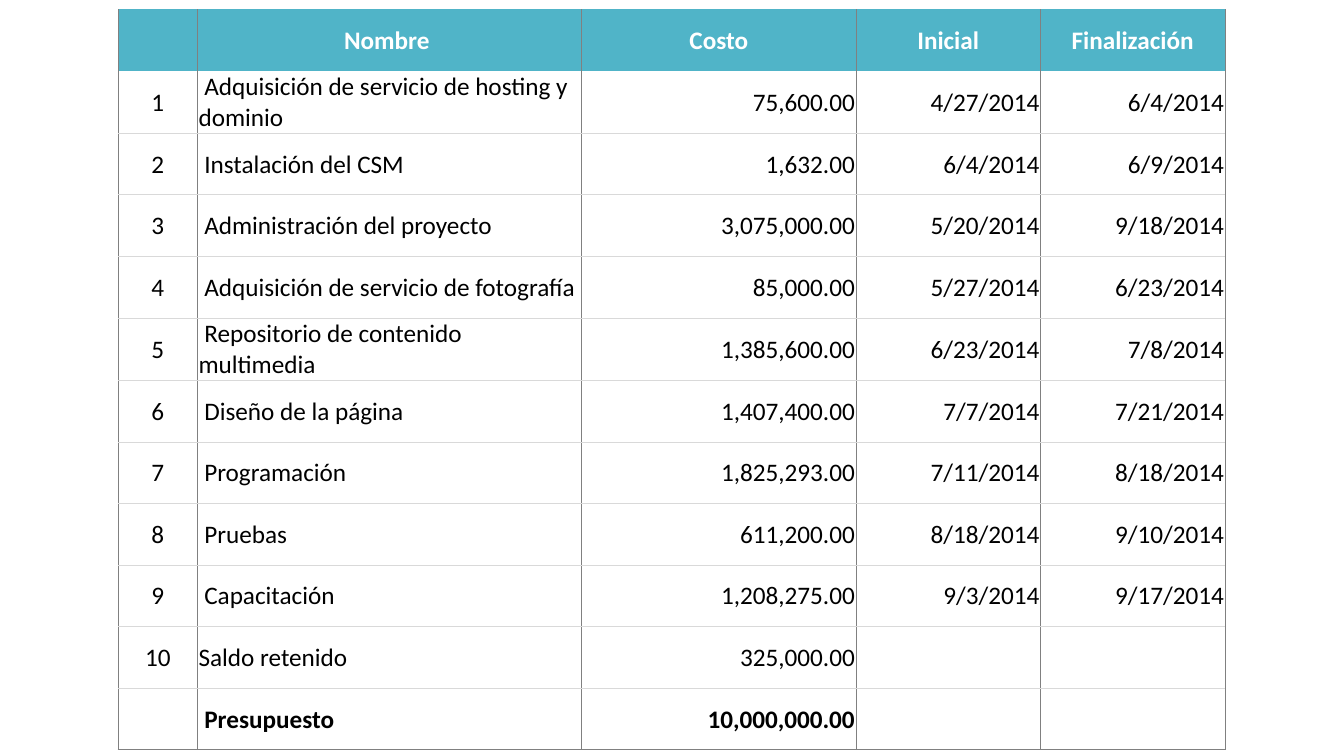
from lxml.etree import SubElement
from pptx import Presentation
from pptx.dml.color import RGBColor
from pptx.enum.text import MSO_ANCHOR, PP_ALIGN
from pptx.oxml.ns import qn
from pptx.util import Inches, Pt

WIDE, HIGH = 13.33, 7.5
TEAL, WHITE, BLACK = "50B4C8", "FFFFFF", "000000"
GREY, PALE = "808080", "D9D9D9"
PLAIN = "{2D5ABB26-0587-4C30-8999-92F81FD0307C}"  # no style, no grid
COLS = [0.79, 3.81, 2.72, 1.83, 1.83]
SIDES = [PP_ALIGN.CENTER, PP_ALIGN.LEFT] + [PP_ALIGN.RIGHT] * 3
INSET = {"margin_left": 0.01, "margin_top": 0.01,
         "margin_right": 0.01, "margin_bottom": 0}

HEAD = ["", "Nombre ", " Costo ", "Inicial", "Finalización"]
TASKS = [
    ["1", " Adquisición de servicio de hosting y dominio ", "75,600.00", "4/27/2014", "6/4/2014"],
    ["2", " Instalación del CSM ", "1,632.00", "6/4/2014", "6/9/2014"],
    ["3", " Administración del proyecto ", "3,075,000.00", "5/20/2014", "9/18/2014"],
    ["4", " Adquisición de servicio de fotografía ", "85,000.00", "5/27/2014", "6/23/2014"],
    ["5", " Repositorio de contenido multimedia ", "1,385,600.00", "6/23/2014", "7/8/2014"],
    ["6", " Diseño de la página ", "1,407,400.00", "7/7/2014", "7/21/2014"],
    ["7", " Programación ", "1,825,293.00", "7/11/2014", "8/18/2014"],
    ["8", " Pruebas ", "611,200.00", "8/18/2014", "9/10/2014"],
    ["9", " Capacitación ", "1,208,275.00", "9/3/2014", "9/17/2014"],
    ["10", "Saldo retenido", "325,000.00", "", ""],
]
TOTAL = ["", " Presupuesto ", "10,000,000.00", "", ""]


def color(code):
    """Turn a hex string into a colour."""
    return RGBColor.from_string(code)


def apply(item, values):
    """Set each attribute named in values."""
    for name, value in values.items():
        setattr(item, name, value)


def edge(cell, side, code):
    """Draw one cell border, or none when code is None."""
    line = SubElement(cell._tc.get_or_add_tcPr(), qn("a:ln" + side), w=str(Pt(0.5)))
    if code is None:
        SubElement(line, qn("a:noFill"))
    else:
        fill = SubElement(line, qn("a:solidFill"))
        SubElement(fill, qn("a:srgbClr"), val=code)


def write(cell, text, align, ink, bold):
    """Put formatted text in a cell."""
    apply(cell, {"vertical_anchor": MSO_ANCHOR.MIDDLE})
    apply(cell, {name: Inches(gap) for name, gap in INSET.items()})
    para = cell.text_frame.paragraphs[0]
    para.alignment = align
    apply(para.font, {"size": Pt(18), "name": "Calibri"})
    if text:
        run = para.add_run()
        run.text = text
        apply(run.font, {"size": Pt(18), "name": "Calibri", "bold": bold})
        run.font.color.rgb = color(ink)


def budget(slide, left, top, width, height):
    """Build the budget table inside the given box."""
    rows = [HEAD, *TASKS, TOTAL]
    last = len(rows) - 1
    frame = slide.shapes.add_table(len(rows), len(COLS), Inches(left), Inches(top),
                                   Inches(width), Inches(height))
    table = frame.table
    apply(table, {"first_row": False, "horz_banding": False})
    table._tbl.tblPr.find(qn("a:tableStyleId")).text = PLAIN
    for col, share in zip(table.columns, COLS):
        col.width = Inches(width * share / sum(COLS))
    for r, row in enumerate(rows):
        table.rows[r].height = Inches(height / len(rows))
        head = r == 0
        over = PALE if r > 1 else None
        under = None if head else GREY if r == last else PALE
        for c, text in enumerate(row):
            cell = table.cell(r, c)
            for side, code in zip("LRTB", (GREY, GREY, over, under)):
                edge(cell, side, code)
            if head:
                cell.fill.solid()
                cell.fill.fore_color.rgb = color(TEAL)
            else:
                cell.fill.background()
            write(cell, text, PP_ALIGN.CENTER if head else SIDES[c],
                  WHITE if head else BLACK, r in (0, last))


deck = Presentation()
apply(deck, {"slide_width": Inches(WIDE), "slide_height": Inches(HIGH)})
page = deck.slides.add_slide(deck.slide_layouts[6])
budget(page, 1.17, 0.09, 10.98, 7.33)
deck.save("out.pptx")
